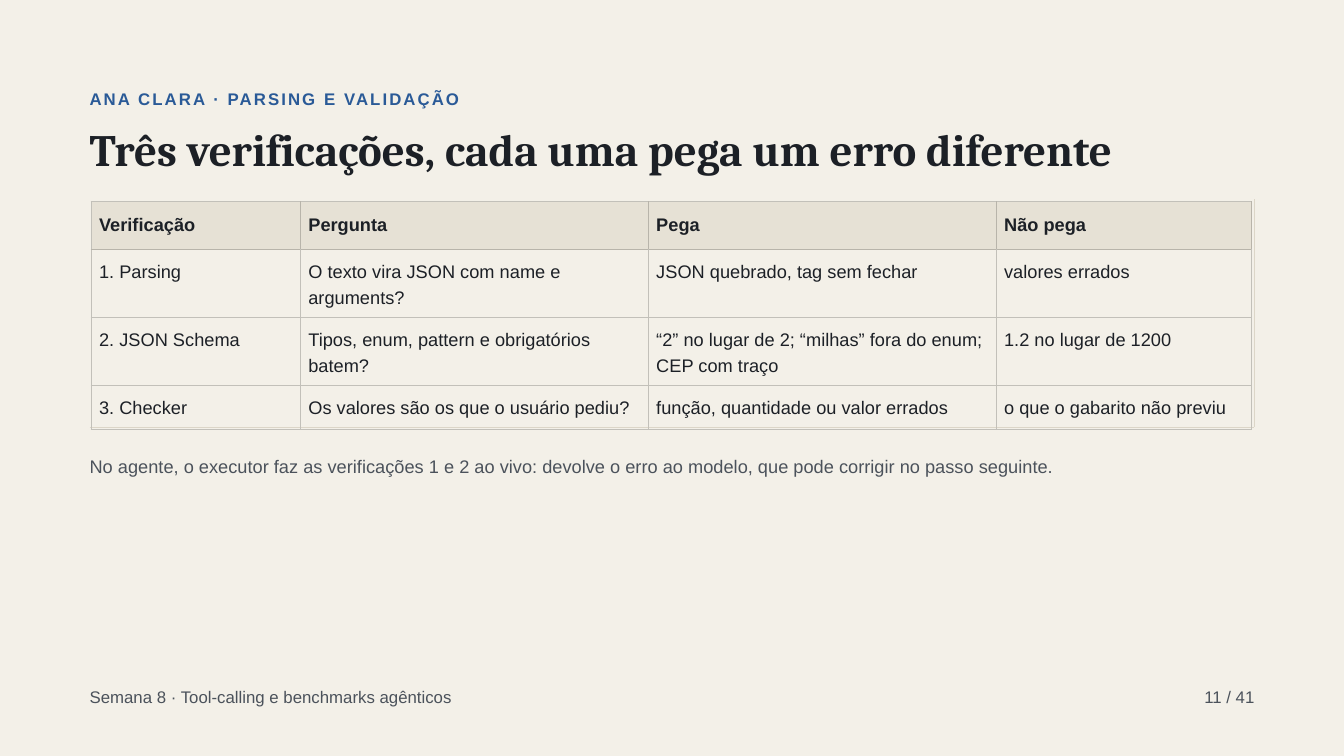
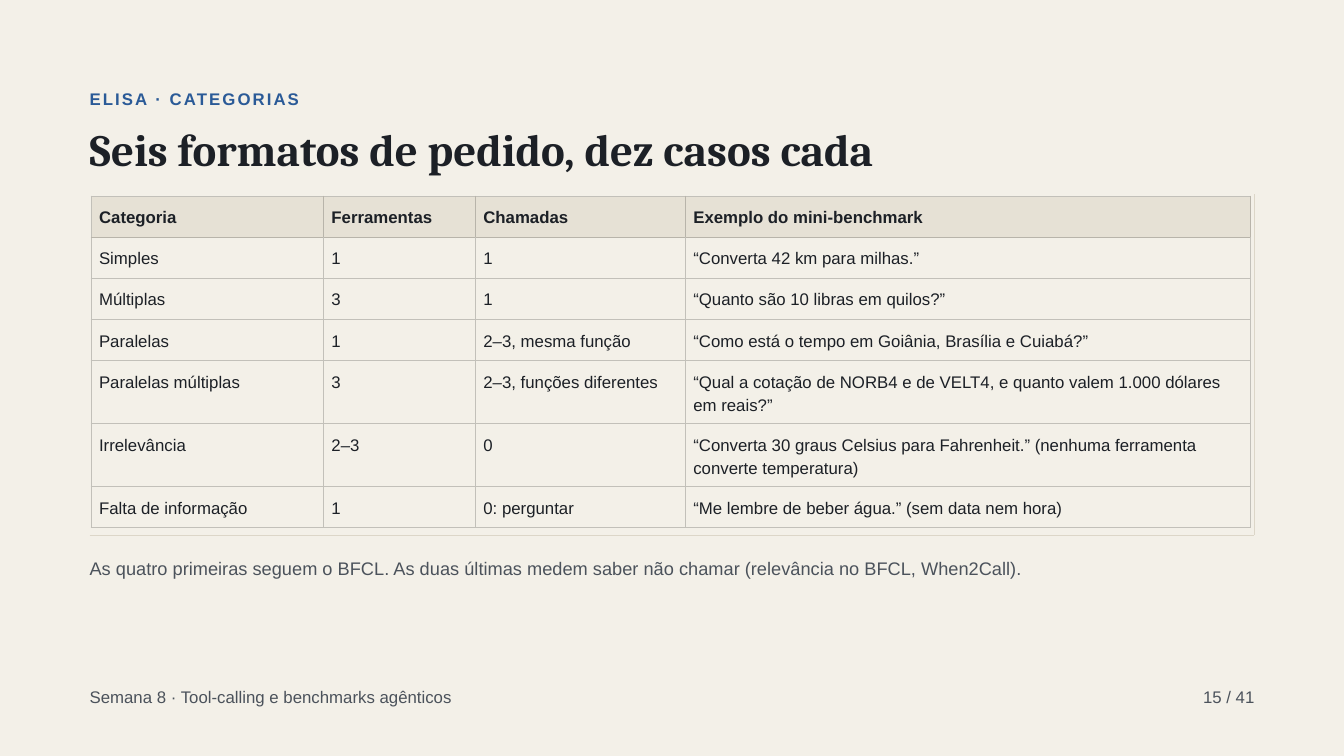
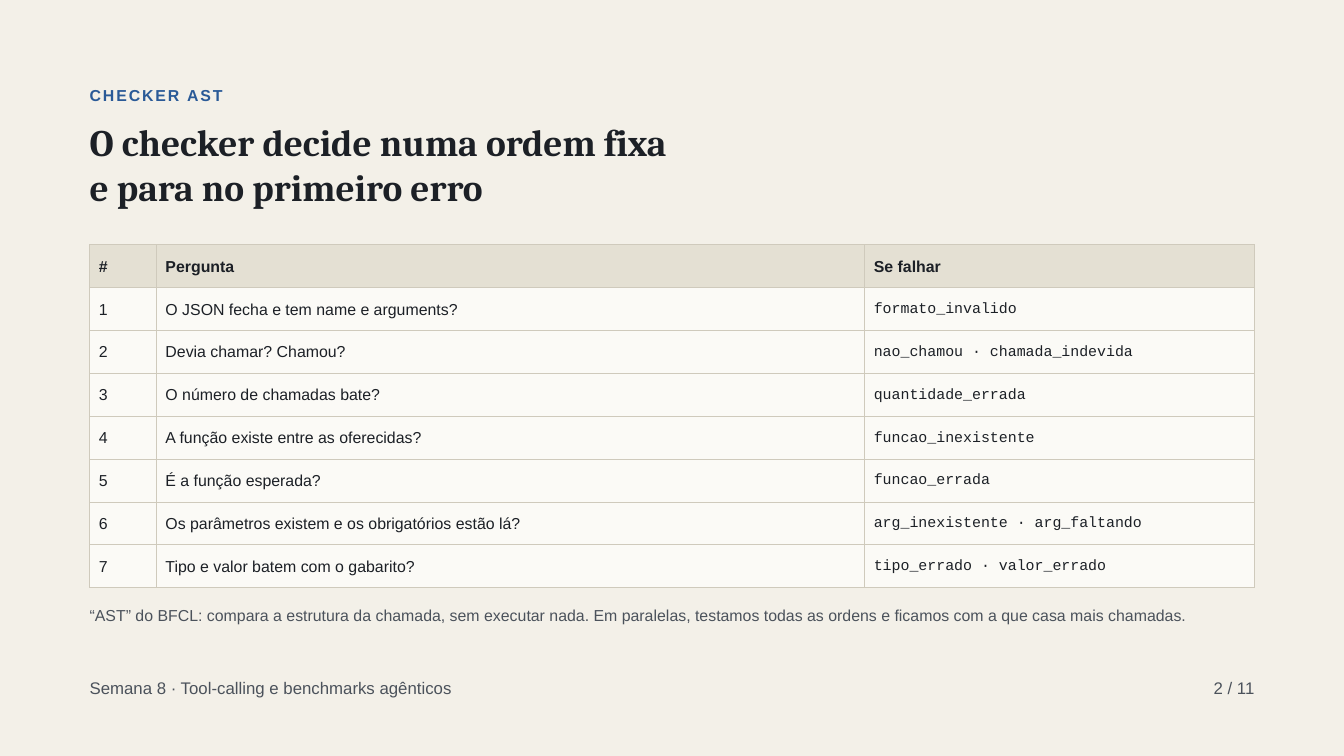
"""Build three slides of checks, categories and checker order around tables."""

from dataclasses import dataclass
from typing import Any, NamedTuple

from lxml import etree
from pptx import Presentation
from pptx import util as u
from pptx.dml.color import RGBColor
from pptx.enum import shapes, text
from pptx.oxml import ns

WIDTH, HEIGHT = u.Inches(20), u.Inches(11.25)
COLS, ROWS = 1920, 1080
LEFT, RIGHT = 128, 1792
FOOTER = "Semana 8 · Tool-calling e benchmarks agênticos"

COLORS = {
    "paper": "F3F0E8",
    "ink": "1C2026",
    "muted": "4B525B",
    "accent": "2A5A97",
    "frame": "DCD6C8",
    "rule": "C2C0B9",
    "head_rule": "B8B4AA",
    "head": "E6E1D5",
    "card_rule": "CFCABC",
    "card_head": "E4E0D3",
    "card": "FBFAF6",
}


class Box(NamedTuple):
    """A rectangle in grid columns and rows."""

    x: float
    y: float
    w: float
    h: float


@dataclass(frozen=True)
class Style:
    """How a run of text looks; leading is a multiple of size."""

    size: float
    leading: float
    color: str = "ink"
    font: str = "Arial"
    bold: bool = False
    tracking: float = 0


@dataclass(frozen=True)
class Deck:
    """Text styles and places shared by the slides of one deck."""

    eyebrow: Style
    eyebrow_box: Box
    title: Style
    title_box: Box
    note: Style
    note_width: float
    footer: Style
    footer_box: Box
    page_width: float


@dataclass(frozen=True)
class TableLook:
    """Cell styles, fills and borders of a table."""

    text: Style
    inset: float
    head: str
    rule: str
    head_rule: str
    border: float
    body: str | None = None
    last_column: Style | None = None
    anchor: Any = text.MSO_ANCHOR.TOP


@dataclass(frozen=True)
class Page:
    """The content of one slide."""

    deck: Deck
    eyebrow: str
    title: list[str]
    look: TableLook
    origin: tuple[float, float]
    widths: list[float]
    heights: list[float]
    cells: list[list[str]]
    note: str
    note_top: float
    note_height: float
    number: str
    frame: tuple[float, float] | None = None


LECTURE = Deck(
    eyebrow=Style(18, 1.4, "accent", bold=True, tracking=2.2),
    eyebrow_box=Box(LEFT, 122, 1714, 43),
    title=Style(48, 1.1, font="Cambria", bold=True),
    title_box=Box(LEFT, 180, 1714, 70),
    note=Style(19.5, 1.45, "muted"),
    note_width=1714,
    footer=Style(18, 1.4, "muted"),
    footer_box=Box(LEFT, 976, 1133, 43),
    page_width=208,
)
CHECKER = Deck(
    eyebrow=Style(17, 1.2, "accent", bold=True, tracking=2),
    eyebrow_box=Box(LEFT, 122, 1664, 36),
    title=Style(40, 1.2, font="Cambria", bold=True),
    title_box=Box(LEFT, 170, 1720, 161),
    note=Style(17, 1.2, "muted"),
    note_width=1664,
    footer=Style(18, 1.2, "muted"),
    footer_box=Box(LEFT, 968, 933, 36),
    page_width=267,
)

OPEN = {"inset": 11.5, "head": "head", "rule": "rule",
        "head_rule": "head_rule", "border": 1}
CARD = TableLook(
    Style(17, 1.2), 13.4, "card_head", "card_rule", "card_rule", 0.75, "card",
    Style(16, 1.2, font="Courier New"), text.MSO_ANCHOR.MIDDLE,
)

PAGES = [
    Page(
        LECTURE, "ANA CLARA · PARSING E VALIDAÇÃO",
        ["Três verificações, cada uma pega um erro diferente"],
        TableLook(Style(19.5, 1.4), **OPEN), (130, 288),
        [299, 497, 497, 365], [68, 97, 97, 63],
        [
            ["Verificação", "Pergunta", "Pega", "Não pega"],
            ["1. Parsing", "O texto vira JSON com name e arguments?",
             "JSON quebrado, tag sem fechar", "valores errados"],
            ["2. JSON Schema", "Tipos, enum, pattern e obrigatórios batem?",
             "“2” no lugar de 2; “milhas” fora do enum; CEP com traço",
             "1.2 no lugar de 1200"],
            ["3. Checker", "Os valores são os que o usuário pediu?",
             "função, quantidade ou valor errados",
             "o que o gabarito não previu"],
        ],
        "No agente, o executor faz as verificações 1 e 2 ao vivo: devolve o "
        "erro ao modelo, que pode corrigir no passo seguinte.",
        644, 37, "11 / 41", (285, 610.5),
    ),
    Page(
        LECTURE, "ELISA · CATEGORIAS",
        ["Seis formatos de pedido, dez casos cada"],
        TableLook(Style(18, 1.4), **OPEN), (130, 280),
        [332, 217, 300, 807], [58.6] * 4 + [90.5] * 2 + [58.6],
        [
            ["Categoria", "Ferramentas", "Chamadas",
             "Exemplo do mini-benchmark"],
            ["Simples", "1", "1", "“Converta 42 km para milhas.”"],
            ["Múltiplas", "3", "1", "“Quanto são 10 libras em quilos?”"],
            ["Paralelas", "1", "2–3, mesma função",
             "“Como está o tempo em Goiânia, Brasília e Cuiabá?”"],
            ["Paralelas múltiplas", "3", "2–3, funções diferentes",
             "“Qual a cotação de NORB4 e de VELT4, e quanto valem 1.000 "
             "dólares em reais?”"],
            ["Irrelevância", "2–3", "0",
             "“Converta 30 graus Celsius para Fahrenheit.” (nenhuma "
             "ferramenta converte temperatura)"],
            ["Falta de informação", "1", "0: perguntar",
             "“Me lembre de beber água.” (sem data nem hora)"],
        ],
        "As quatro primeiras seguem o BFCL. As duas últimas medem saber não "
        "chamar (relevância no BFCL, When2Call).",
        790, 49, "15 / 41", (277.5, 764.5),
    ),
    Page(
        CHECKER, "CHECKER AST",
        ["O checker decide numa ordem fixa", "e para no primeiro erro"],
        CARD, (LEFT, 349.4), [95, 1012, 557], [61.3] * 8,
        [
            ["#", "Pergunta", "Se falhar"],
            ["1", "O JSON fecha e tem name e arguments?", "formato_invalido"],
            ["2", "Devia chamar? Chamou?", "nao_chamou · chamada_indevida"],
            ["3", "O número de chamadas bate?", "quantidade_errada"],
            ["4", "A função existe entre as oferecidas?",
             "funcao_inexistente"],
            ["5", "É a função esperada?", "funcao_errada"],
            ["6", "Os parâmetros existem e os obrigatórios estão lá?",
             "arg_inexistente · arg_faltando"],
            ["7", "Tipo e valor batem com o gabarito?",
             "tipo_errado · valor_errado"],
        ],
        "“AST” do BFCL: compara a estrutura da chamada, sem executar nada. "
        "Em paralelas, testamos todas as ordens e ficamos com a que casa "
        "mais chamadas.",
        865, 77, "2 / 11",
    ),
]


def col(n: float) -> int:
    """Length of n grid columns."""
    return round(WIDTH * n / COLS)


def row(n: float) -> int:
    """Length of n grid rows."""
    return round(HEIGHT * n / ROWS)


def place(box: Box) -> tuple[int, int, int, int]:
    """Left, top, width and height of a grid box."""
    return col(box.x), row(box.y), col(box.w), row(box.h)


def rgb(name: str) -> RGBColor:
    """Look up a named colour."""
    return RGBColor.from_string(COLORS[name])


def assign(obj: Any, values: dict[str, Any]) -> None:
    """Set each named attribute of an object."""
    for name, value in values.items():
        setattr(obj, name, value)


def margins(inset: float) -> dict[str, int]:
    """Equal margins on four sides."""
    return {f"margin_{side}": col(inset)
            for side in ("left", "top", "right", "bottom")}


def write(tf: Any, lines: list[str], style: Style,
          align: Any = text.PP_ALIGN.LEFT) -> None:
    """Write one styled paragraph per line."""
    for i, line in enumerate(lines):
        p = tf.add_paragraph() if i else tf.paragraphs[0]
        assign(p, {"alignment": align,
                   "line_spacing": u.Pt(style.size * style.leading)})
        r = p.add_run()
        r.text = line
        assign(r.font, {"name": style.font, "size": u.Pt(style.size),
                        "bold": style.bold})
        r.font.color.rgb = rgb(style.color)
        if style.tracking:
            r._r.get_or_add_rPr().set("spc", str(round(style.tracking * 100)))


def fill_box(sp: Any, box: Box, lines: list[str], style: Style,
             align: Any = text.PP_ALIGN.LEFT) -> None:
    """Place a text shape without margins and write into it."""
    assign(sp, dict(zip(("left", "top", "width", "height"), place(box))))
    assign(sp.text_frame, margins(0) | {
        "word_wrap": True,
        "vertical_anchor": text.MSO_ANCHOR.TOP,
        "auto_size": text.MSO_AUTO_SIZE.SHAPE_TO_FIT_TEXT,
    })
    write(sp.text_frame, lines, style, align)


def add_text(s: Any, box: Box, line: str, style: Style,
             align: Any = text.PP_ALIGN.LEFT) -> None:
    """Add a one-paragraph text box."""
    fill_box(s.shapes.add_textbox(*place(box)), box, [line], style, align)


def add_line(s: Any, x1: float, y1: float, x2: float, y2: float) -> None:
    """Add a thin frame line."""
    line = s.shapes.add_connector(shapes.MSO_CONNECTOR.STRAIGHT,
                                  col(x1), row(y1), col(x2), row(y2))
    line.line.width = u.Pt(0.75)
    line.line.color.rgb = rgb("frame")
    etree.SubElement(line._element.spPr, ns.qn("a:effectLst"))


def set_borders(cell: Any, look: TableLook, i: int, j: int) -> None:
    """Draw the four cell borders, with the header rule inside row one."""
    head_edges = {0: "RB" if j == 0 else "LRB", 1: "T"}.get(i, "")
    tc_pr = cell._tc.get_or_add_tcPr()
    for edge in "LRTB":
        color = look.head_rule if edge in head_edges else look.rule
        ln = etree.SubElement(tc_pr, ns.qn(f"a:ln{edge}"),
                              w=str(u.Pt(look.border)))
        solid = etree.SubElement(ln, ns.qn("a:solidFill"))
        etree.SubElement(solid, ns.qn("a:srgbClr"), val=COLORS[color])


def add_grid(s: Any, page: Page) -> None:
    """Add the table of a page."""
    look = page.look
    box = Box(*page.origin, sum(page.widths), sum(page.heights))
    table = s.shapes.add_table(len(page.heights), len(page.widths),
                               *place(box)).table
    assign(table, {"first_row": False, "horz_banding": False})
    for column, width in zip(table.columns, page.widths):
        column.width = col(width)
    for line, height in zip(table.rows, page.heights):
        line.height = row(height)
    head = Style(look.text.size, look.text.leading, bold=True)
    for i, values in enumerate(page.cells):
        for j, value in enumerate(values):
            cell = table.cell(i, j)
            assign(cell, margins(look.inset) | {"vertical_anchor": look.anchor})
            set_borders(cell, look, i, j)
            fill = look.body if i else look.head
            if fill:
                cell.fill.solid()
                cell.fill.fore_color.rgb = rgb(fill)
            else:
                cell.fill.background()
            last = j == len(values) - 1
            body = look.last_column if last and look.last_column else look.text
            write(cell.text_frame, [value], body if i else head)


def add_page(prs: Any, page: Page) -> None:
    """Add one slide."""
    deck = page.deck
    s = prs.slides.add_slide(prs.slide_layouts[5])
    fill_box(s.shapes.title, deck.title_box, page.title, deck.title)
    add_text(s, deck.eyebrow_box, page.eyebrow, deck.eyebrow)
    if page.frame:
        top, bottom = page.frame
        add_line(s, RIGHT, top, RIGHT, bottom)
        add_line(s, LEFT, bottom, RIGHT, bottom)
    add_grid(s, page)
    add_text(s, Box(LEFT, page.note_top, deck.note_width, page.note_height),
             page.note, deck.note)
    add_text(s, deck.footer_box, FOOTER, deck.footer)
    number_box = deck.footer_box._replace(x=RIGHT - deck.page_width,
                                          w=deck.page_width)
    add_text(s, number_box, page.number, deck.footer, text.PP_ALIGN.RIGHT)


def main() -> None:
    """Build and save the presentation."""
    prs = Presentation()
    assign(prs, {"slide_width": WIDTH, "slide_height": HEIGHT})
    background = prs.slide_master.background.fill
    background.solid()
    background.fore_color.rgb = rgb("paper")
    for page in PAGES:
        add_page(prs, page)
    prs.save("out.pptx")


if __name__ == "__main__":
    main()
